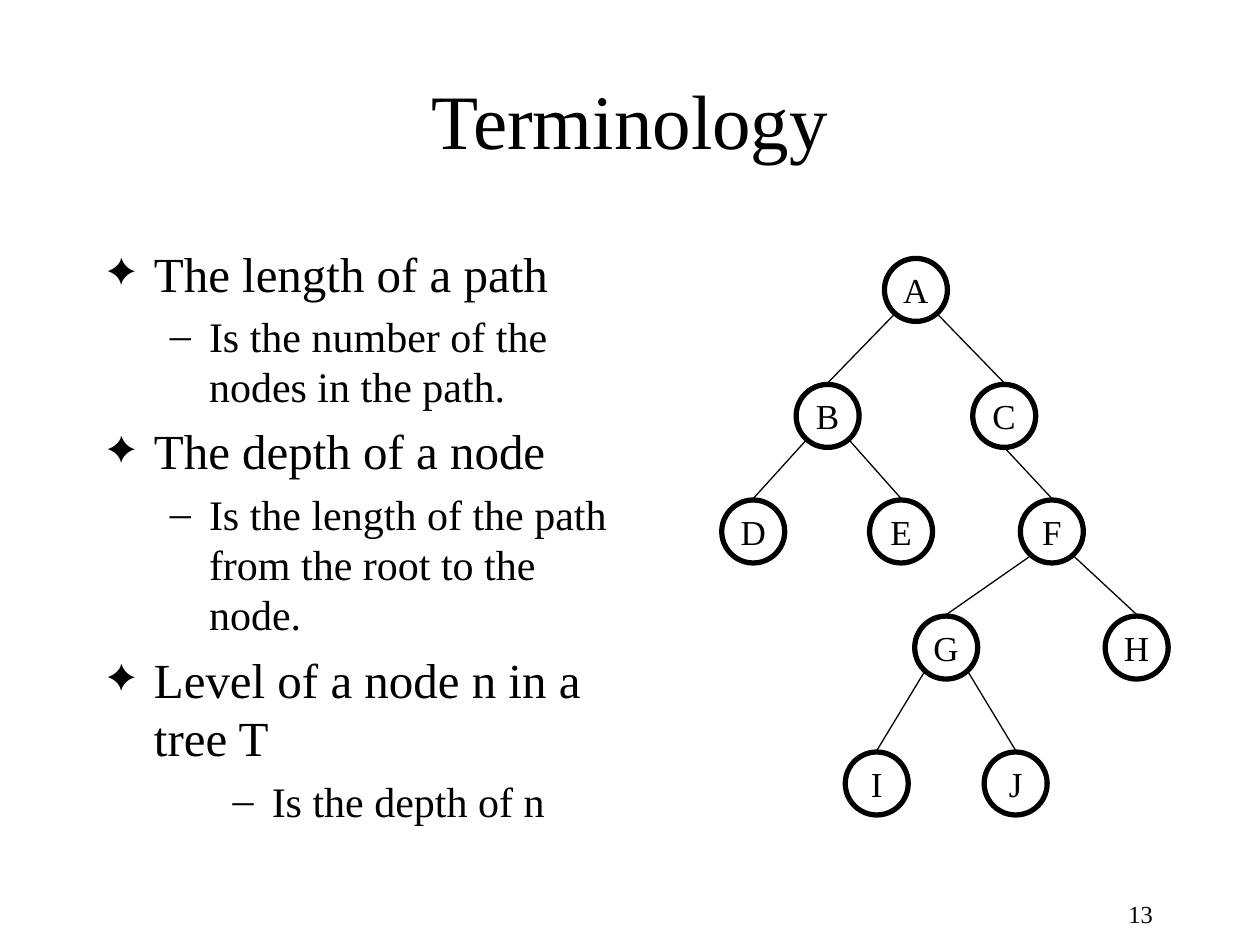
from lxml import etree
from pptx import Presentation
from pptx.dml.color import RGBColor
from pptx.enum.shapes import MSO_CONNECTOR, MSO_SHAPE
from pptx.enum.text import MSO_ANCHOR, MSO_AUTO_SIZE, PP_ALIGN
from pptx.oxml.ns import qn
from pptx.util import Cm, Pt

LEFT, MID, RIGHT = PP_ALIGN.LEFT, PP_ALIGN.CENTER, PP_ALIGN.RIGHT
CENTRE, TOP = MSO_ANCHOR.MIDDLE, MSO_ANCHOR.TOP
FIXED = MSO_AUTO_SIZE.NONE
OVAL, LINE = MSO_SHAPE.OVAL, MSO_CONNECTOR.STRAIGHT
FONT, INK = "Times New Roman", "000000"

# Bullet, its size in percent, text size, left indent and hang in cm
LEVELS = [("✦", 75, 28, 0.95, 0.95), ("–", 100, 24, 2.06, 0.79)]
POINTS = [
    (0, "The length of a path", LEFT),
    (1, "Is the number of the nodes in the path.", LEFT),
    (0, "The depth of a node", LEFT),
    (1, "Is the length of the path from the root to the node.", LEFT),
    (0, "Level of a node n in a tree T", LEFT),
    (1, "Is the depth of n", MID),
]

# Tree: left edge in cm and row of each node, then parent and child
SIZE = 1.27
ROWS = [0, 2.54, 4.87, 7.21, 9.95]
NODES = {
    "A": (3.28, 0), "B": (1.5, 1), "C": (5.06, 1), "D": (0, 2), "E": (2.98, 2),
    "F": (6.02, 2), "G": (3.89, 3), "H": (7.73, 3), "I": (2.49, 4), "J": (5.29, 4),
}
EDGES = ["AB", "AC", "BD", "BE", "CF", "FG", "FH", "GI", "GJ"]


def paint(code):
    return RGBColor.from_string(code)


def place(shape, box):
    shape.left, shape.top, shape.width, shape.height = map(Cm, box)


def write(para, text, size, align):
    para.alignment = align
    run = para.add_run()
    run.text = text
    run.font.name, run.font.size = FONT, Pt(size)
    run.font.color.rgb = paint(INK)


def bullet(para, mark, share, left, hang):
    props = para._p.get_or_add_pPr()
    props.set("marL", str(Cm(left)))
    props.set("indent", str(-Cm(hang)))
    tint = etree.SubElement(props, qn("a:buClr"))
    etree.SubElement(tint, qn("a:srgbClr"), val=INK)
    etree.SubElement(props, qn("a:buSzPct"), val=str(share * 1000))
    etree.SubElement(props, qn("a:buFont"), typeface=FONT)
    etree.SubElement(props, qn("a:buChar"), char=mark)


def add_title(slide, box):
    title = slide.shapes.title
    place(title, box)
    frame = title.text_frame
    frame.auto_size, frame.vertical_anchor = FIXED, CENTRE
    write(frame.paragraphs[0], "Terminology", 44, MID)


def add_list(slide, box):
    body = slide.placeholders[1]
    place(body, box)
    frame = body.text_frame
    frame.auto_size, frame.vertical_anchor = FIXED, TOP
    frame.margin_top = Cm(0.3)
    for i, (level, text, align) in enumerate(POINTS):
        para = frame.add_paragraph() if i else frame.paragraphs[0]
        mark, share, size, left, hang = LEVELS[level]
        para.level = level
        bullet(para, mark, share, left, hang)
        para.space_before = Pt(size * 0.2 if i else 0)
        write(para, text, size, align)


def add_edge(slide, x1, y1, x2, y2):
    edge = slide.shapes.add_connector(LINE, Cm(x1), Cm(y1), Cm(x2), Cm(y2))
    edge.line.width = Pt(0.75)
    edge.line.color.rgb = paint(INK)
    etree.SubElement(edge._element.spPr, qn("a:effectLst"))


def add_node(slide, name, x, y):
    node = slide.shapes.add_shape(OVAL, Cm(x), Cm(y), Cm(SIZE), Cm(SIZE))
    node.shadow.inherit = False
    node.fill.background()
    node.line.width = Pt(3)
    node.line.color.rgb = paint(INK)
    frame = node.text_frame
    frame.word_wrap, frame.vertical_anchor = False, CENTRE
    write(frame.paragraphs[0], name, 20, MID)


def add_tree(slide, box):
    spots = {k: (box[0] + x, box[1] + ROWS[row]) for k, (x, row) in NODES.items()}
    half = SIZE / 2
    # Edges leave the lower side of a parent and meet the top of a child
    for up, down in EDGES:
        (x1, y1), (x2, y2) = spots[up], spots[down]
        if up == "C":  # an only child hangs from the bottom
            shift, drop = 0, SIZE
        else:
            shift, drop = (0.45 if x2 > x1 else -0.45), 1.14
        add_edge(slide, x1 + half + shift, y1 + drop, x2 + half, y2 - 0.03)
    for name, (x, y) in spots.items():
        add_node(slide, name, x, y)


def add_number(slide, box):
    note = slide.shapes.add_textbox(*map(Cm, box))
    frame = note.text_frame
    frame.word_wrap, frame.vertical_anchor = True, CENTRE
    write(frame.paragraphs[0], "13", 14, RIGHT)


def main():
    deck = Presentation()
    deck.slide_width, deck.slide_height = Cm(25.4), Cm(19.05)
    slide = deck.slides.add_slide(deck.slide_layouts[1])
    add_title(slide, (1.9, 0.8, 21.6, 3.18))
    add_list(slide, (1.9, 4.6, 10.6, 11.43))
    add_tree(slide, (14.55, 5.21, 9, 11.22))
    add_number(slide, (18.2, 17.78, 5.29, 1.27))
    deck.save("out.pptx")


if __name__ == "__main__":
    main()
